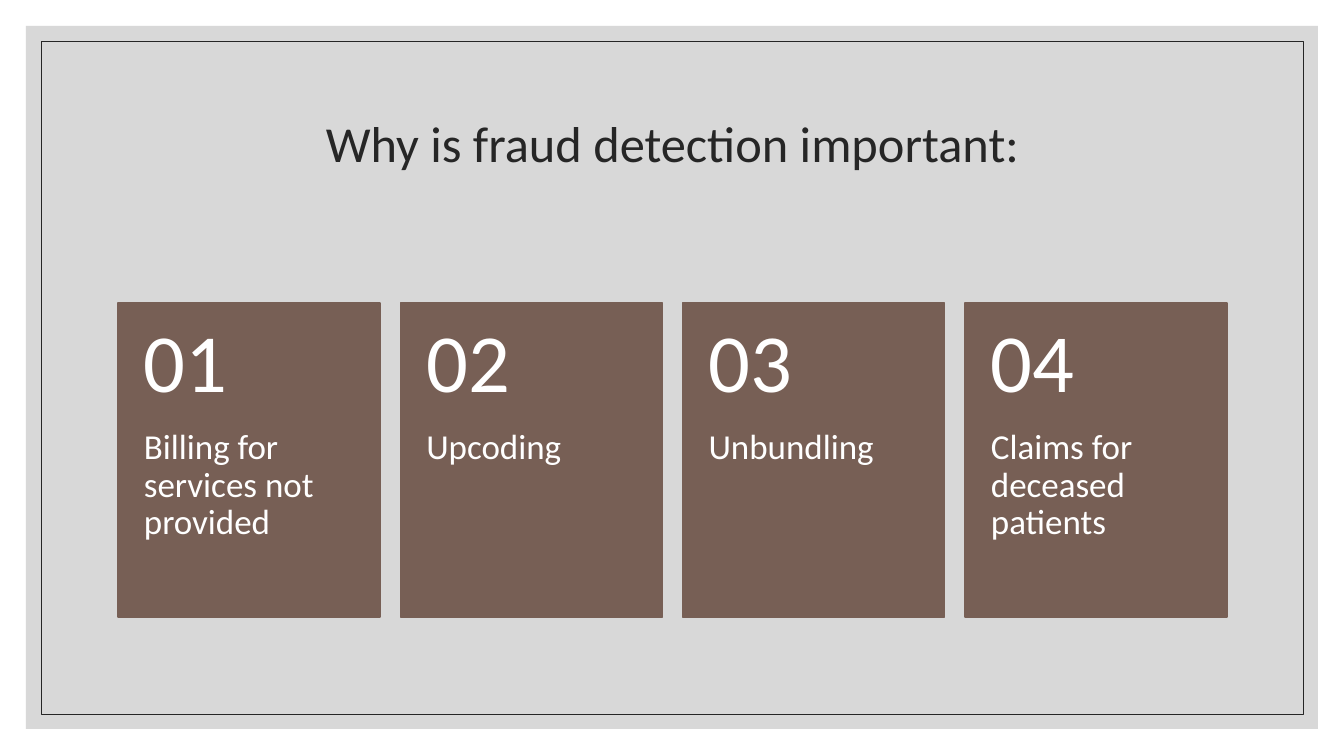
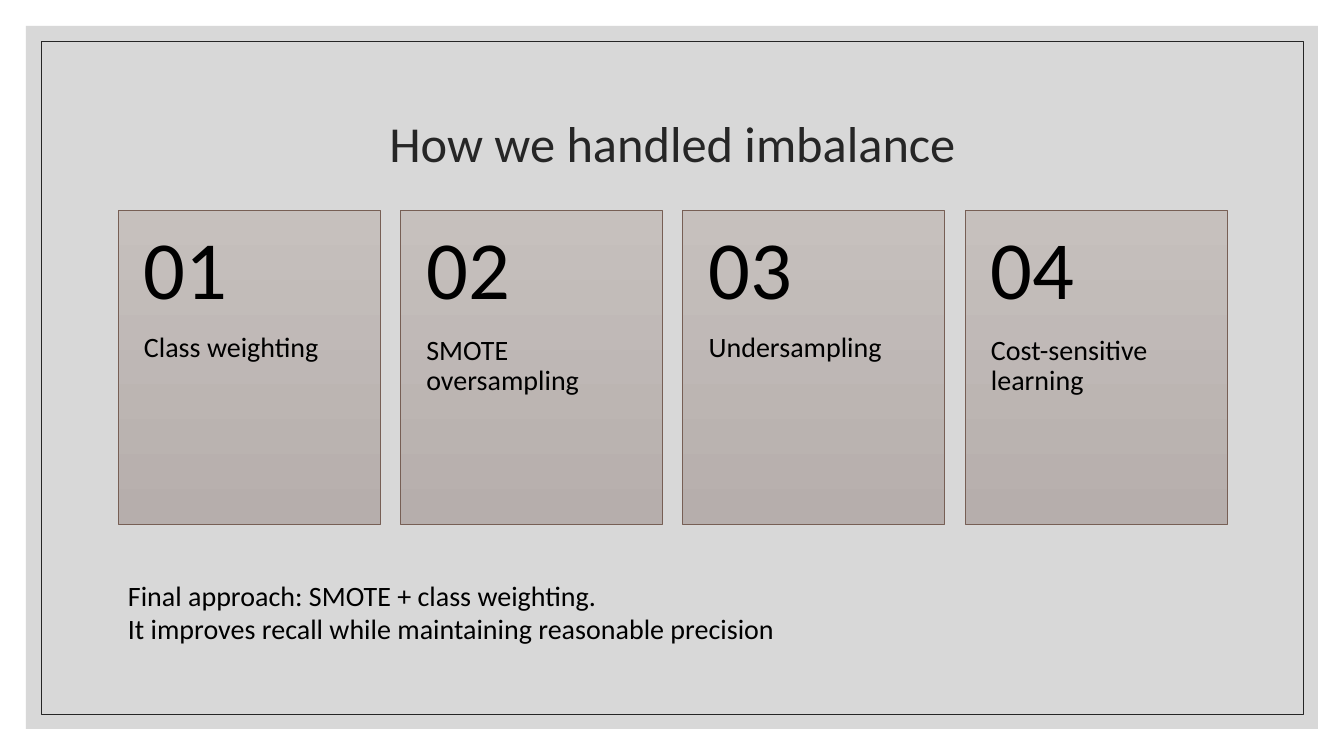
"""Build two slides of numbered cards about fraud detection and class imbalance."""
from dataclasses import dataclass

from lxml import etree
from pptx import Presentation
from pptx import util as u
from pptx.dml.color import RGBColor
from pptx.enum import shapes, text
from pptx.oxml.ns import qn


@dataclass(frozen=True)
class Theme:
    font: str = "Calibri"
    panel: str = "BFBFBF"
    panel_alpha: int = 60
    ink: str = "262626"
    brown: str = "775F55"
    gradient: tuple = ("C6C0BD", "B6AEAC")
    white: str = "FFFFFF"
    black: str = "000000"
    title_pt: int = 36
    number_pt: int = 59
    note_pt: int = 20
    spacing: float = 0.9


T = Theme()
EMU_PER_PX = 914400 / 100.8
SLIDE = (1344, 756)
PANEL = (26, 26, 1292, 703)
FRAME = (41, 41, 1262, 673)
TITLE = (118, 71, 1109, 151)
NOTE = (118, 573, 768, 78)
CARDS_LEFT, CARDS_WIDTH = 118, 1109
CARD_W, CARD_H, NUMBER_H = 262, 314, 126
NUMBER_INSETS = (26, 18, 26, 18)
LABEL_INSETS = (26, 0, 26, 36)

SLIDES = [
    {
        "title": "Why is fraud detection important:",
        "cards": ["Billing for services not provided", "Upcoding",
                  "Unbundling", "Claims for deceased patients"],
        "top": 303, "fill": (T.brown,), "line_pt": 1,
        "color": T.white, "label_pt": 25, "note": None,
    },
    {
        "title": "How we handled imbalance",
        "cards": ["Class weighting", "SMOTE oversampling",
                  "Undersampling", "Cost-sensitive learning"],
        "top": 210, "fill": T.gradient, "line_pt": 0.5,
        "color": T.black, "label_pt": 20,
        "note": "Final approach: SMOTE + class weighting.\n"
                "It improves recall while maintaining reasonable precision",
    },
]


def px(value):
    return u.Emu(round(value * EMU_PER_PX))


def rgb(value):
    return RGBColor.from_string(value)


def add_rect(s, box, fill=(), line=None, line_pt=0.5):
    sp = s.shapes.add_shape(shapes.MSO_SHAPE.RECTANGLE, *map(px, box))
    sp.shadow.inherit = False
    if len(fill) > 1:
        sp.fill.gradient()
        sp.fill.gradient_angle = 270
        for stop, color in zip(sp.fill.gradient_stops, fill):
            stop.color.rgb = rgb(color)
    elif fill:
        sp.fill.solid()
        sp.fill.fore_color.rgb = rgb(fill[0])
    else:
        sp.fill.background()
    if line:
        sp.line.color.rgb = rgb(line)
        sp.line.width = u.Pt(line_pt)
    else:
        sp.line.fill.background()
    return sp


def add_text(s, box, content, size, color, insets=(10, 5, 10, 5),
             anchor=text.MSO_ANCHOR.TOP, align=text.PP_ALIGN.LEFT, spacing=T.spacing):
    tf = s.shapes.add_textbox(*map(px, box)).text_frame
    tf.word_wrap = True
    tf.vertical_anchor = anchor
    tf.margin_left, tf.margin_top, tf.margin_right, tf.margin_bottom = map(px, insets)
    tf.text = content
    for p in tf.paragraphs:
        p.alignment = align
        p.line_spacing = spacing
        for r in p.runs:
            r.font.name = T.font
            r.font.size = u.Pt(size)
            r.font.color.rgb = rgb(color)


def add_base(s, title):
    panel = add_rect(s, PANEL, (T.panel,))
    color = panel._element.spPr.find(qn("a:solidFill"))[0]
    etree.SubElement(color, qn("a:alpha"), val=str(T.panel_alpha * 1000))
    add_rect(s, FRAME, line=T.ink)
    add_text(s, TITLE, title, T.title_pt, T.ink,
             anchor=text.MSO_ANCHOR.MIDDLE, align=text.PP_ALIGN.CENTER)


def add_cards(s, data):
    top, color = data["top"], data["color"]
    pitch = (CARDS_WIDTH - CARD_W) / (len(data["cards"]) - 1)
    for i, label in enumerate(data["cards"]):
        left = CARDS_LEFT + i * pitch
        add_rect(s, (left, top, CARD_W, CARD_H), data["fill"], T.brown, data["line_pt"])
        add_text(s, (left, top + NUMBER_H, CARD_W, CARD_H - NUMBER_H), label,
                 data["label_pt"], color, LABEL_INSETS)
        add_text(s, (left, top, CARD_W, NUMBER_H), f"{i + 1:02}", T.number_pt, color,
                 NUMBER_INSETS, text.MSO_ANCHOR.MIDDLE)


def main():
    prs = Presentation()
    prs.slide_width, prs.slide_height = map(px, SLIDE)
    for data in SLIDES:
        s = prs.slides.add_slide(prs.slide_layouts[6])
        add_base(s, data["title"])
        add_cards(s, data)
        if data["note"]:
            add_text(s, NOTE, data["note"], T.note_pt, T.black, spacing=1.0)
    prs.save("out.pptx")


if __name__ == "__main__":
    main()
